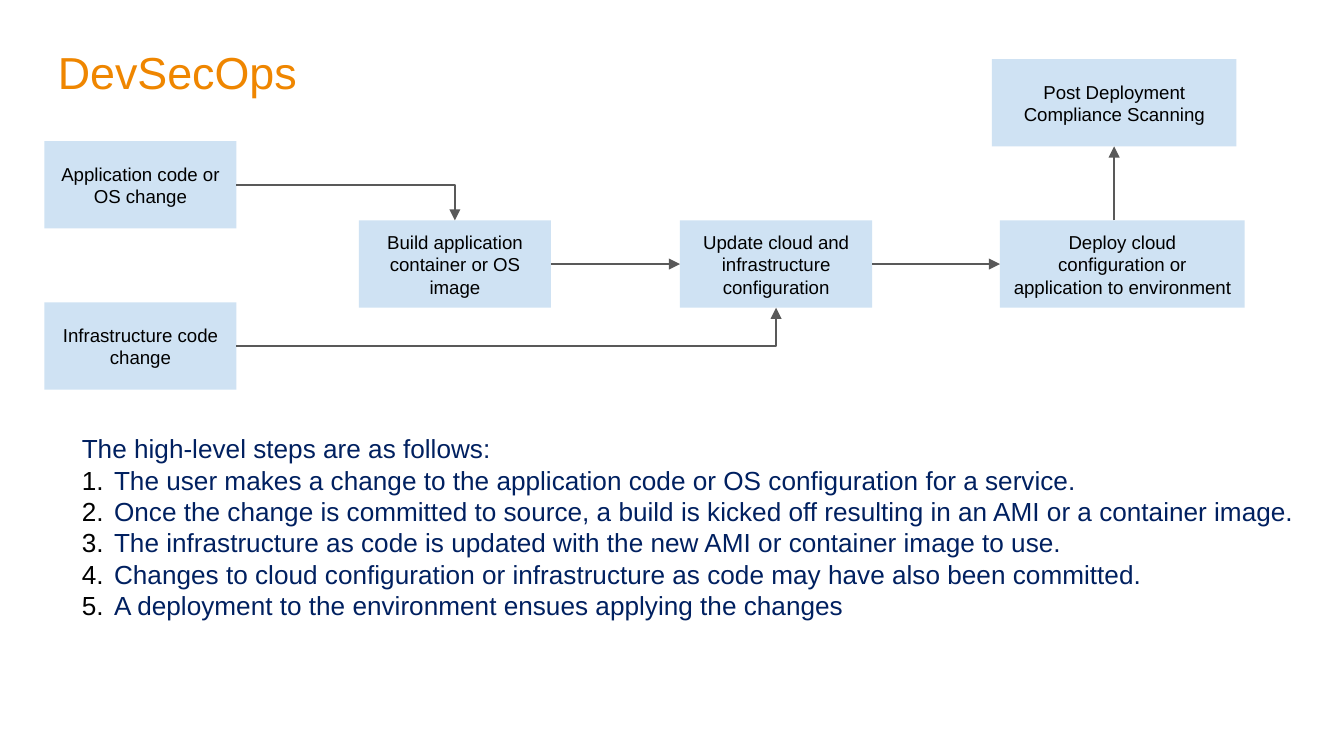
from lxml import etree
from pptx import Presentation
from pptx.dml.color import RGBColor
from pptx.enum.shapes import MSO_CONNECTOR, MSO_SHAPE
from pptx.enum.text import MSO_ANCHOR, PP_ALIGN
from pptx.oxml.ns import qn
from pptx.util import Inches, Pt

SLIDE_WIDTH = 10
SLIDE_HEIGHT = SLIDE_WIDTH * 9 / 16
BOX_HEIGHT = 0.65
STEPS = [
    "The user makes a change to the application code or OS configuration for a service.",
    "Once the change is committed to source, a build is kicked off resulting in an AMI or a container image.",
    "The infrastructure as code is updated with the new AMI or container image to use.",
    "Changes to cloud configuration or infrastructure as code may have also been committed.",
    "A deployment to the environment ensues applying the changes",
]


def paint(color_format, color):
    """Set a colour format from a hex string."""
    color_format.rgb = RGBColor.from_string(color)


def write(paragraph, text, size, color):
    """Add one Arial run to a paragraph."""
    run = paragraph.add_run()
    run.text = text
    run.font.name = "Arial"
    run.font.size = Pt(size)
    paint(run.font.color, color)


def add_title(slide, left, top, width, height):
    """Place and format the slide title."""
    title = slide.shapes.title
    title.left, title.top, title.width, title.height = map(Inches, (left, top, width, height))
    frame = title.text_frame
    frame.word_wrap = False
    frame.vertical_anchor = MSO_ANCHOR.TOP
    paragraph = frame.paragraphs[0]
    paragraph.alignment = PP_ALIGN.LEFT
    write(paragraph, "DevSecOps", 24, "EF8600")


def add_stage(slide, text, left, top, width):
    """Draw one pipeline stage."""
    box = slide.shapes.add_shape(
        MSO_SHAPE.RECTANGLE, *map(Inches, (left, top, width, BOX_HEIGHT)))
    box.shadow.inherit = False
    box.fill.solid()
    paint(box.fill.fore_color, "CFE2F3")
    box.line.fill.background()
    frame = box.text_frame
    frame.word_wrap = True
    frame.vertical_anchor = MSO_ANCHOR.MIDDLE
    frame.margin_left = frame.margin_right = frame.margin_top = frame.margin_bottom = Inches(0.1)
    paragraph = frame.paragraphs[0]
    paragraph.alignment = PP_ALIGN.CENTER
    write(paragraph, text, 10, "000000")


def add_arrow(slide, start, end):
    """Draw an arrow, with one corner when the ends differ in both directions."""
    vertical, level = start[0] == end[0], start[1] == end[1]
    kind = MSO_CONNECTOR.STRAIGHT if vertical else MSO_CONNECTOR.ELBOW
    arrow = slide.shapes.add_connector(kind, *map(Inches, (*start, *end)))
    paint(arrow.line.color, "595959")
    arrow.line.width = Pt(0.75)
    properties = arrow._element.spPr
    if not vertical and not level:
        properties.find(qn("a:prstGeom")).set("prst", "bentConnector2")
    etree.SubElement(properties.find(qn("a:ln")), qn("a:tailEnd"), type="triangle")
    etree.SubElement(properties, qn("a:effectLst"))


def add_pipeline(slide, left, top):
    """Draw the stages and arrows from the top left corner of the first stage."""
    narrow, wide = 1.43, 1.82
    half = BOX_HEIGHT / 2
    build, update, deploy = left + 2.34, left + 4.73, left + 7.11
    middle, bottom = top + 0.59, top + 1.2
    post, post_top = deploy - 0.06, top - 0.61
    stages = [
        ("Build application container or OS image", build, middle, narrow),
        ("Deploy cloud configuration or application to environment", deploy, middle, wide),
        ("Update cloud and infrastructure configuration", update, middle, narrow),
        ("Application code or OS change", left, top, narrow),
        ("Infrastructure code change", left, bottom, narrow),
        ("Post Deployment Compliance Scanning", post, post_top, wide),
    ]
    for stage in stages:
        add_stage(slide, *stage)
    post_center = post + wide / 2
    axis = middle + half
    arrows = [
        ((left + narrow, top + half), (build + narrow / 2, middle)),
        ((left + narrow, bottom + half), (update + narrow / 2, middle + BOX_HEIGHT)),
        ((build + narrow, axis), (update, axis)),
        ((update + narrow, axis), (deploy, axis)),
        ((post_center, middle), (post_center, post_top + BOX_HEIGHT)),
    ]
    for start, end in arrows:
        add_arrow(slide, start, end)


def number(paragraph):
    """Give a paragraph a black automatic number and a hanging indent."""
    properties = paragraph._p.get_or_add_pPr()
    indent = Inches(0.24)
    properties.set("marL", str(indent))
    properties.set("indent", str(-indent))
    color = etree.SubElement(properties, qn("a:buClr"))
    etree.SubElement(color, qn("a:srgbClr"), val="000000")
    etree.SubElement(properties, qn("a:buFont"), typeface="Arial")
    etree.SubElement(properties, qn("a:buAutoNum"), type="arabicPeriod")


def add_steps(slide, left, top, width, height):
    """Write the introduction and the numbered steps."""
    frame = slide.shapes.add_textbox(*map(Inches, (left, top, width, height))).text_frame
    frame.word_wrap = True
    write(frame.paragraphs[0], "The high-level steps are as follows:", 14, "002060")
    for step in STEPS:
        paragraph = frame.add_paragraph()
        number(paragraph)
        write(paragraph, step, 14, "002060")


def main():
    """Build and save the slide."""
    deck = Presentation()
    deck.slide_width, deck.slide_height = Inches(SLIDE_WIDTH), Inches(SLIDE_HEIGHT)
    slide = deck.slides.add_slide(deck.slide_layouts[5])
    add_title(slide, 0.33, 0.28, 2.09, 0.5)
    add_pipeline(slide, 0.33, 1.05)
    add_steps(slide, 0.51, 3.17, 9.28, 1.51)
    deck.save("out.pptx")


main()
